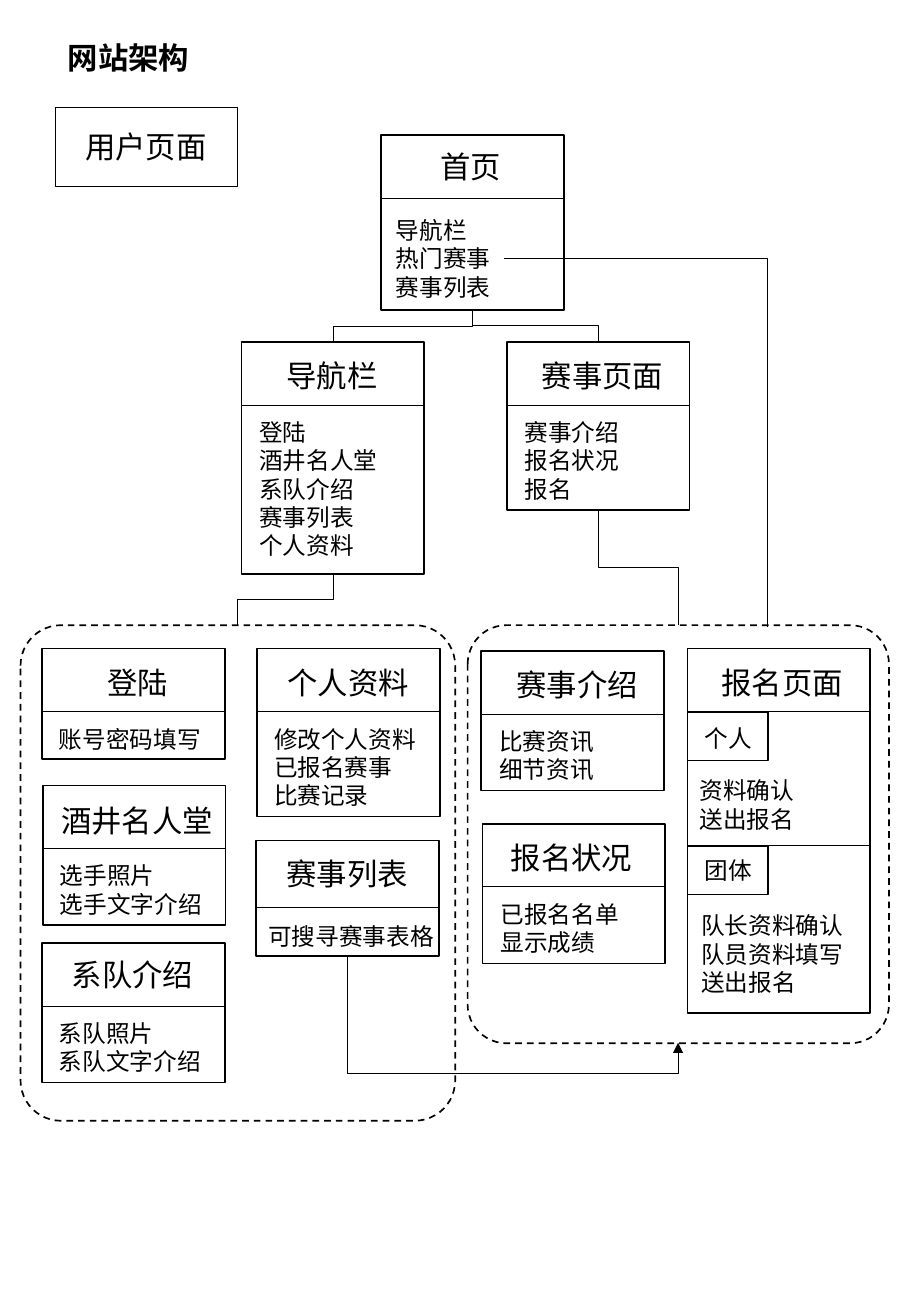
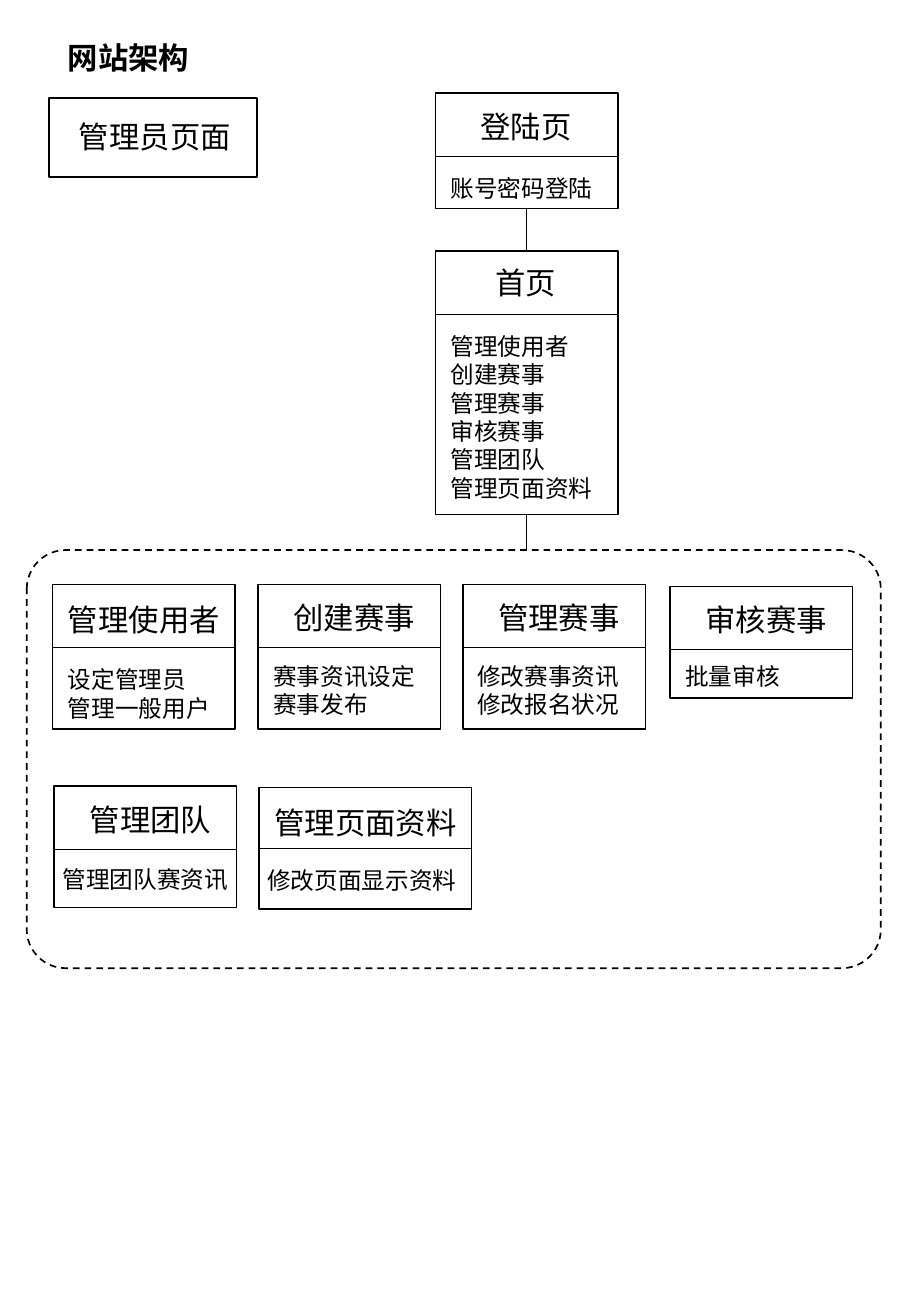
from dataclasses import dataclass

from lxml import etree
from pptx import Presentation
from pptx import util as u
from pptx.dml.color import RGBColor
from pptx.enum import dml, shapes, text
from pptx.oxml import ns

FONT = "Noto Sans CJK SC"
INK = "000000"
PAPER = "FFFFFF"
HEAD_SIZE, BODY_SIZE = 18, 14
CARD_WIDTH = 3.82
POINT = 2.54 / 72
MARGINS = 0.55  # both side margins of a text box, with a little slack
CORNER = 0.093


# Lengths are in centimetres; dx and dy count from the card's top left corner
@dataclass
class Card:
    left: float
    top: float
    height: float
    title: str
    title_dx: float
    items: list[str]
    title_dy: float = 0.19
    items_dx: float = 0.1
    items_dy: float = 1.46
    divider: float = 1.32
    width: float = CARD_WIDTH


@dataclass
class Group:
    left: float
    top: float
    width: float
    height: float


@dataclass
class Label:
    """A small frame with one line of text."""
    left: float
    top: float
    width: float
    height: float
    caption: str
    dx: float
    dy: float
    size: int = HEAD_SIZE


@dataclass
class Link:
    """A connector that leaves downwards, turns and arrives downwards."""
    x1: float
    y1: float
    x2: float
    y2: float
    bend: float = 0.5
    arrow: bool = False


def color(value: str) -> RGBColor:
    return RGBColor.from_string(value)


# Drawing functions
def add_text(page, left: float, top: float, lines: list[str],
             size: int = BODY_SIZE, bold: bool = False) -> None:
    width = max(map(len, lines)) * size * POINT + MARGINS
    height = len(lines) * size * POINT * 1.21 + 0.25
    box = page.shapes.add_textbox(u.Cm(left), u.Cm(top), u.Cm(width), u.Cm(height))
    frame = box.text_frame
    frame.word_wrap = False
    frame.auto_size = text.MSO_AUTO_SIZE.SHAPE_TO_FIT_TEXT
    frame.text = "\n".join(lines)
    for para in frame.paragraphs:
        font = para.font
        font.size, font.bold, font.name = u.Pt(size), bold, FONT
        font.color.rgb = color(INK)
        defaults = para._p.pPr.find(ns.qn("a:defRPr"))
        etree.SubElement(defaults, ns.qn("a:ea"), typeface=FONT)


def add_frame(page, left: float, top: float, width: float, height: float,
              kind=shapes.MSO_SHAPE.RECTANGLE):
    box = page.shapes.add_shape(kind, u.Cm(left), u.Cm(top), u.Cm(width), u.Cm(height))
    box.shadow.inherit = False
    box.fill.background()
    box.line.color.rgb = color(INK)
    box.line.width = u.Pt(1)
    return box


def add_group(page, group: Group) -> None:
    box = add_frame(page, group.left, group.top, group.width, group.height,
                    shapes.MSO_SHAPE.ROUNDED_RECTANGLE)
    box.adjustments[0] = CORNER
    box.line.dash_style = dml.MSO_LINE.DASH


def add_line(page, x1: float, y1: float, x2: float, y2: float,
             kind=shapes.MSO_CONNECTOR.STRAIGHT):
    line = page.shapes.add_connector(kind, u.Cm(x1), u.Cm(y1), u.Cm(x2), u.Cm(y2))
    line.line.color.rgb = color(INK)
    line.line.width = u.Pt(0.5)
    etree.SubElement(line._element.spPr, ns.qn("a:effectLst"))
    return line


def add_link(page, link: Link) -> None:
    # A lying elbow, turned a quarter about its centre
    half_run, half_rise = (link.y2 - link.y1) / 2, abs(link.x2 - link.x1) / 2
    x, y = (link.x1 + link.x2) / 2, (link.y1 + link.y2) / 2
    line = add_line(page, x - half_run, y - half_rise, x + half_run, y + half_rise,
                    shapes.MSO_CONNECTOR.ELBOW)
    properties = line._element.spPr
    frame = properties.find(ns.qn("a:xfrm"))
    rightwards = link.x2 > link.x1
    frame.set("rot", str((270 if rightwards else 90) * 60000))
    if rightwards:
        frame.set("flipH", "1")
    guides = properties.find(ns.qn("a:prstGeom")).find(ns.qn("a:avLst"))
    etree.SubElement(guides, ns.qn("a:gd"), name="adj1",
                     fmla=f"val {round(link.bend * 100000)}")
    if link.arrow:
        etree.SubElement(properties.find(ns.qn("a:ln")), ns.qn("a:tailEnd"), type="triangle")


def add_corner(page, x1: float, y1: float, x2: float, y2: float) -> None:
    line = add_line(page, x1, y1, x2, y2, shapes.MSO_CONNECTOR.ELBOW)
    line._element.spPr.find(ns.qn("a:prstGeom")).set("prst", "bentConnector2")


def add_label(page, label: Label) -> None:
    add_frame(page, label.left, label.top, label.width, label.height)
    add_text(page, label.left + label.dx, label.top + label.dy, [label.caption], label.size)


def add_card(page, card: Card) -> None:
    add_frame(page, card.left, card.top, card.width, card.height)
    divider = card.top + card.divider
    add_line(page, card.left, divider, card.left + card.width, divider)
    add_text(page, card.left + card.title_dx, card.top + card.title_dy,
             [card.title], HEAD_SIZE)
    add_text(page, card.left + card.items_dx, card.top + card.items_dy, card.items)


def add_page(deck, label: Label, cards: list[Card], groups: list[Group]):
    page = deck.slides.add_slide(deck.slide_layouts[6])
    page.background.fill.solid()
    page.background.fill.fore_color.rgb = color(PAPER)
    add_text(page, 1.17, 0.69, ["网站架构"], HEAD_SIZE, bold=True)
    add_label(page, label)
    for card in cards:
        add_card(page, card)
    for group in groups:
        add_group(page, group)
    return page


deck = Presentation()
deck.slide_width, deck.slide_height = u.Cm(19.05), u.Cm(27.51)

# User pages
SIGN_UP_LEFT, SIGN_UP_TOP, TEAM_TOP = 14.38, 13.56, 17.68
user_cards = [
    Card(7.97, 2.82, 3.66, "首页", 0.99, ["导航栏", "热门赛事", "赛事列表"],
         title_dy=0.15, items_dx=0.06, items_dy=1.57),
    Card(5.05, 7.15, 4.85, "导航栏", 0.69,
         ["登陆", "酒井名人堂", "系队介绍", "赛事列表", "个人资料"], items_dx=0.12),
    Card(10.6, 7.15, 3.51, "赛事页面", 0.48, ["赛事介绍", "报名状况", "报名"], items_dx=0.12),
    Card(0.88, 13.56, 2.31, "登陆", 1.11, ["账号密码填写"]),
    Card(5.38, 13.56, 3.51, "个人资料", 0.38, ["修改个人资料", "已报名赛事", "比赛记录"]),
    Card(0.9, 16.42, 2.92, "酒井名人堂", 0.13, ["选手照片", "选手文字介绍"], title_dy=0.23),
    Card(0.88, 19.71, 2.92, "系队介绍", 0.37, ["系队照片", "系队文字介绍"], title_dy=0.15),
    Card(5.36, 17.57, 2.41, "赛事列表", 0.38, ["可搜寻赛事表格"],
         items_dx=0, items_dy=1.57, divider=1.4),
    Card(10.06, 13.61, 2.92, "赛事介绍", 0.49, ["比赛资讯", "细节资讯"], items_dx=0.13),
    Card(10.09, 17.22, 2.92, "报名状况", 0.34, ["已报名名单", "显示成绩"], items_dx=0.13),
    Card(SIGN_UP_LEFT, SIGN_UP_TOP, 7.62, "报名页面", 0.46, ["资料确认", "送出报名"],
         items_dx=0, items_dy=2.54),
]
user_page = add_page(deck, Label(1.16, 2.25, 3.81, 1.65, "用户页面", 0.37, 0.31), user_cards,
                     [Group(0.43, 13.07, 9.09, 10.36), Group(9.78, 13.07, 8.81, 8.74)])

# Single and team tabs of the sign-up card
for top, caption, dy in [(SIGN_UP_TOP + 1.32, "个人", 0.13), (TEAM_TOP, "团体", 0.08)]:
    add_label(user_page, Label(SIGN_UP_LEFT, top, 1.68, 1.02, caption, 0.11, dy, BODY_SIZE))
add_line(user_page, SIGN_UP_LEFT, TEAM_TOP, SIGN_UP_LEFT + CARD_WIDTH, TEAM_TOP)
add_text(user_page, SIGN_UP_LEFT + 0.03, 18.92, ["队长资料确认", "队员资料填写", "送出报名"])

for link in [
    Link(9.88, 6.48, 6.97, 7.15),
    Link(9.88, 6.48, 12.52, 7.15),
    Link(6.97, 12, 4.97, 13.07),
    Link(12.52, 10.66, 14.18, 13.07),
    Link(7.26, 19.98, 14.18, 21.8, bend=1.35, arrow=True),
]:
    add_link(user_page, link)
add_corner(user_page, 10.54, 5.41, 16.05, 13.11)

# Administrator pages
admin_cards = [
    Card(9.11, 1.95, 2.41, "登陆页", 0.69, ["账号密码登陆"], items_dx=0.06, items_dy=1.56),
    Card(9.11, 5.25, 5.51, "首页", 1.0,
         ["管理使用者", "创建赛事", "管理赛事", "审核赛事", "管理团队", "管理页面资料"],
         title_dy=0.14, items_dx=0.06, items_dy=1.56),
    Card(1.1, 12.22, 3.02, "管理使用者", 0.07, ["设定管理员", "管理一般用户"],
         title_dy=0.23, items_dx=0.07, items_dy=1.56),
    Card(5.39, 12.22, 3.02, "创建赛事", 0.5, ["赛事资讯设定", "赛事发布"],
         items_dx=0.07, items_dy=1.49),
    Card(9.68, 12.22, 3.02, "管理赛事", 0.49, ["修改赛事资讯", "修改报名状况"],
         items_dx=0.05, items_dy=1.49),
    Card(14.01, 12.26, 2.34, "审核赛事", 0.49, ["批量审核"], items_dx=0.07),
    Card(1.13, 16.43, 2.54, "管理团队", 0.5, ["管理团队赛资讯"],
         items_dx=-0.07, items_dy=1.52),
    Card(5.41, 16.46, 2.54, "管理页面资料", 0.08, ["修改页面显示资料"],
         title_dy=0.23, items_dx=-0.07, items_dy=1.52, divider=1.27, width=4.45),
]
admin_page = add_page(deck, Label(1.03, 2.05, 4.34, 1.65, "管理员页面", 0.37, 0.29),
                      admin_cards, [Group(0.56, 11.5, 17.86, 8.74)])
for start, end in [(4.36, 5.25), (10.76, 11.5)]:
    add_line(admin_page, 11.01, start, 11.01, end)

deck.save("out.pptx")
